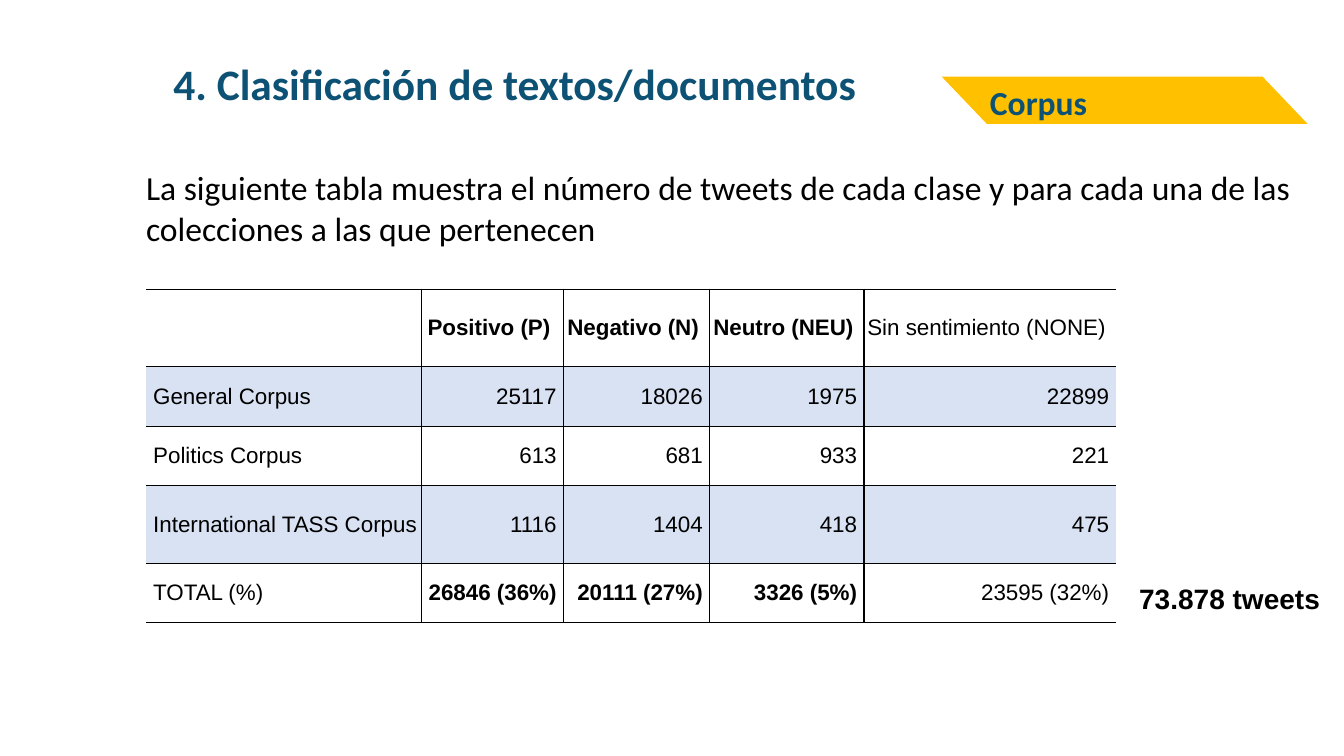
from lxml.etree import SubElement
from pptx import Presentation
from pptx.dml.color import RGBColor
from pptx.enum.shapes import MSO_SHAPE
from pptx.enum.text import MSO_ANCHOR, PP_ALIGN
from pptx.oxml.ns import qn
from pptx.util import Inches, Pt

BLUE = RGBColor(0x0D, 0x52, 0x74)
YELLOW = RGBColor(0xFF, 0xC0, 0x00)
BAND = RGBColor(0xD9, 0xE2, 0xF3)
BLACK = RGBColor(0x00, 0x00, 0x00)

COLUMN_WIDTHS = [2.73, 1.41, 1.45, 1.53, 2.5]
ROW_HEIGHTS = [0.77, 0.59, 0.59, 0.77, 0.59]
ROWS = [
    ["", "Positivo (P)", "Negativo (N)", "Neutro (NEU)", "Sin sentimiento (NONE)"],
    ["General Corpus", "25117", "18026", "1975", "22899"],
    ["Politics Corpus", "613", "681", "933", "221"],
    ["International TASS Corpus", "1116", "1404", "418", "475"],
    ["TOTAL (%)", "26846 (36%)", "20111 (27%)", "3326 (5%)", "23595 (32%)"],
]


def write(text_frame, text, size, font_name, color=BLACK, bold=False, align=PP_ALIGN.LEFT):
    text_frame.text = text
    paragraph = text_frame.paragraphs[0]
    paragraph.alignment = align
    for run in paragraph.runs:
        run.font.size = Pt(size)
        run.font.name = font_name
        run.font.bold = bold
        run.font.color.rgb = color


def add_title(slide, text):
    title = slide.shapes.title
    title.left, title.top = Inches(1.62), Inches(0.52)
    title.width, title.height = Inches(8.06), Inches(0.62)
    title.text_frame.vertical_anchor = MSO_ANCHOR.TOP
    write(title.text_frame, text, 31, "Calibri", BLUE, bold=True)


def add_text(slide, box, text, size, font_name, anchor=MSO_ANCHOR.TOP, **style):
    shape = slide.shapes.add_textbox(*map(Inches, box))
    shape.text_frame.word_wrap = True
    shape.text_frame.vertical_anchor = anchor
    write(shape.text_frame, text, size, font_name, **style)


def add_ribbon(slide, box):
    ribbon = slide.shapes.add_shape(MSO_SHAPE.PARALLELOGRAM, *map(Inches, box))
    ribbon.adjustments[0] = 0.954
    ribbon.element.spPr.xfrm.set("flipH", "1")
    ribbon.shadow.inherit = False
    ribbon.fill.solid()
    ribbon.fill.fore_color.rgb = YELLOW
    ribbon.line.fill.background()


def set_borders(cell, sides):
    """Draw the named sides as thin black lines and leave the others open."""
    properties = cell._tc.get_or_add_tcPr()
    for position, side in enumerate(["L", "R", "T", "B"]):
        line = properties.makeelement(qn("a:ln" + side), {"w": str(Pt(1))})
        properties.insert(position, line)
        if side in sides:
            fill = SubElement(line, qn("a:solidFill"))
            SubElement(fill, qn("a:srgbClr"), val=str(BLACK))
        else:
            SubElement(line, qn("a:noFill"))


def format_cell(cell, text, row, column):
    last_row, last_column = len(ROWS) - 1, len(COLUMN_WIDTHS) - 1
    cell.margin_top = cell.margin_bottom = 0
    cell.margin_left = Inches(0.07 if column == 0 else 0)
    cell.margin_right = Inches(0 if column == 0 else 0.07)
    cell.vertical_anchor = MSO_ANCHOR.MIDDLE
    if column == 0:
        align = PP_ALIGN.LEFT
    else:
        align = PP_ALIGN.CENTER if row == 0 else PP_ALIGN.RIGHT
    bold = row in (0, last_row) and 0 < column < last_column
    write(cell.text_frame, text, 16, "Arial", bold=bold, align=align)
    if row % 2:
        cell.fill.solid()
        cell.fill.fore_color.rgb = BAND
    else:
        cell.fill.background()
    sides = "TB" + ("L" if column > 0 else "") + ("R" if column < last_column else "")
    set_borders(cell, sides)


def add_corpus_table(slide, left, top):
    frame = slide.shapes.add_table(
        len(ROWS), len(COLUMN_WIDTHS), Inches(left), Inches(top),
        Inches(sum(COLUMN_WIDTHS)), Inches(sum(ROW_HEIGHTS)))
    table = frame.table
    table.horz_banding = False
    table.first_row = False
    for column, width in zip(table.columns, COLUMN_WIDTHS):
        column.width = Inches(width)
    for row, height in zip(table.rows, ROW_HEIGHTS):
        row.height = Inches(height)
    for row, texts in enumerate(ROWS):
        for column, text in enumerate(texts):
            format_cell(table.cell(row, column), text, row, column)


def main():
    presentation = Presentation()
    presentation.slide_width = Inches(13.33)
    presentation.slide_height = Inches(7.5)
    slide = presentation.slides.add_slide(presentation.slide_layouts[5])

    add_title(slide, "4. Clasificación de textos/documentos")
    add_ribbon(slide, (9.34, 0.76, 3.63, 0.47))
    add_text(slide, (9.72, 0.76, 2.97, 0.5), "Corpus", 24, "Calibri",
             anchor=MSO_ANCHOR.MIDDLE, color=BLUE, bold=True)
    add_corpus_table(slide, 1.45, 2.87)
    add_text(slide, (1.35, 1.61, 11.61, 0.91),
             "La siguiente tabla muestra el número de tweets de cada clase y para "
             "cada una de las colecciones a las que pertenecen", 24, "Calibri")
    add_text(slide, (11.2, 5.72, 2.13, 0.44), "73.878 tweets", 20, "Arial", bold=True)

    presentation.save("out.pptx")


if __name__ == "__main__":
    main()
